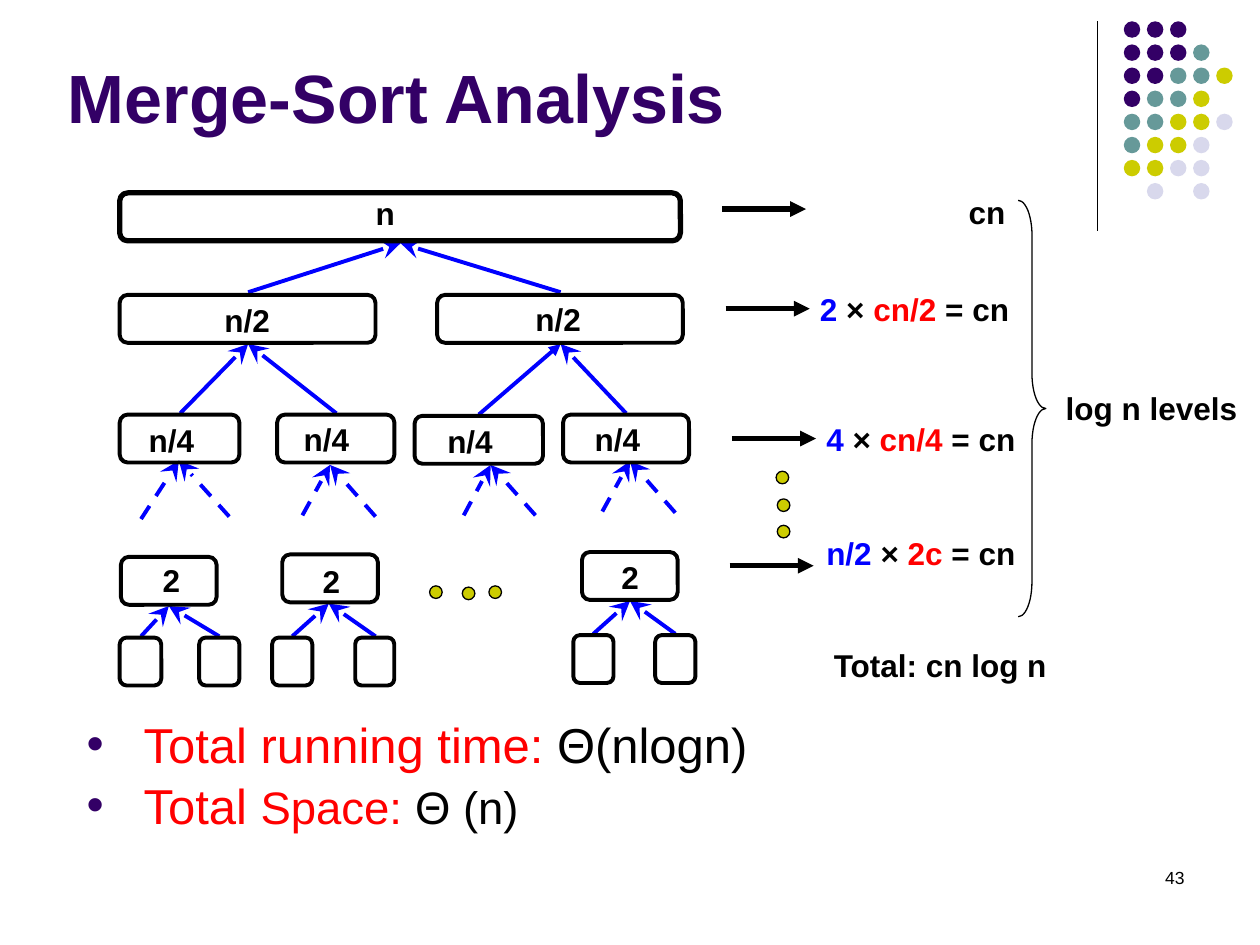
"""Build the merge-sort analysis slide with its recursion tree."""
from lxml.etree import SubElement
from pptx import Presentation
from pptx.dml.color import RGBColor
from pptx.enum.dml import MSO_LINE_DASH_STYLE as Dash
from pptx.enum.shapes import MSO_CONNECTOR as Connector, MSO_SHAPE as Shape
from pptx.enum.text import MSO_ANCHOR as Anchor, PP_ALIGN as Align
from pptx.oxml.ns import qn
from pptx.util import Pt

BLACK = RGBColor(0x00, 0x00, 0x00)
BLUE = RGBColor(0x00, 0x00, 0xFF)
RED = RGBColor(0xFF, 0x00, 0x00)
PURPLE = RGBColor(0x33, 0x00, 0x66)
TEAL = RGBColor(0x66, 0x99, 0x99)
OLIVE = RGBColor(0xCC, 0xCC, 0x00)
LILAC = RGBColor(0xD8, 0xD8, 0xEC)

DOT_COLORS = {"P": PURPLE, "T": TEAL, "O": OLIVE, "L": LILAC}
DOT_ROWS = ["PPP", "PPPT", "PPTTO", "PTTO", "TTOOL", "TOOL", "OOLL", " L L"]
DOT_LEFT, DOT_TOP, DOT_STEP, DOT_SIZE = 642.2, 12.2, 13.2, 9.4

BOX_HEIGHT = 27.4
ROOT = (68.4, 110.2, 320.4)
NODES = [
    (68.4, 168.5, 146.2), (249.8, 168.5, 140.4),
    (68.4, 236.9, 68.4), (158.4, 236.9, 67), (236.9, 237.6, 73.4), (321.8, 236.9, 72),
    (69.1, 318.2, 54.7), (161.3, 316.8, 54.7), (332.6, 315.4, 54.7),
    (68.4, 364.3, 23.8), (113.8, 364.3, 23), (155.5, 364.3, 23), (203, 364.3, 22.3),
    (327.6, 362.9, 23), (374.4, 362.9, 23),
]
NODE_LABELS = [
    ("n", 214.6, 110.9, 25.2),
    ("n/2", 128.2, 172.1, 40.3), ("n/2", 306, 171.4, 40.3),
    ("n/4", 85, 240.5, 40.3), ("n/4", 173.5, 239.8, 40.3),
    ("n/4", 255.6, 241.2, 40.3), ("n/4", 339.8, 239.8, 40.3),
    ("2", 92.9, 320.4, 10), ("2", 184.3, 321.1, 10), ("2", 355, 319, 10),
]

MERGES = [
    ((228.9, 139), [(141.8, 167), (320.4, 167)]),
    ((141.8, 196.6), [(103, 236.2), (192.2, 236.2)]),
    ((320.4, 196.6), [(357.8, 236.2)]),
    ((96.5, 346.3), [(80.6, 363.6), (125.3, 363.6)]),
    ((187.9, 344.9), [(167, 363.6), (214.6, 363.6)]),
    ((360, 343.4), [(339.1, 362.2), (385.9, 362.2)]),
]
DEEPER_MERGES = [
    ((102.2, 263.2), [(80.6, 296.6), (131, 295.2)]),
    ((188.6, 265.7), [(172.8, 294.5), (214.6, 295.2)]),
    ((280.4, 265.7), [(265, 294.5), (306, 294.5)]),
    ((360, 263.5), [(344.2, 292.3), (385.9, 293)]),
]

COST_ARROWS = [(412.6, 119.5), (414.7, 176.4), (418.3, 250.6), (416.9, 323.3)]
COST_ARROW_LENGTH = 48
COSTS = [
    (461.5, 162, "2", "cn/2"),
    (465.1, 236.2, "4", "cn/4"),
    (465.1, 301.7, "n/2", "2c"),
]
ELLIPSIS_DOTS = [
    (443.5, 269.3), (444.2, 285.1), (444.2, 300.2),
    (245.5, 334.8), (264.2, 335.5), (279.4, 334.8),
]
SUMMARY = [
    [("Total running time: ", 28, RED), ("Θ(nlogn)", 28, BLACK)],
    [("Total ", 28, RED), ("Space: ", 26, RED), ("Θ (n)", 26, BLACK)],
]


def add_runs(para, runs, bold):
    for text, size, color in runs:
        span = para.add_run()
        span.text = text
        span.font.name = "Arial"
        span.font.size = Pt(size)
        span.font.bold = bold
        span.font.color.rgb = color


def add_text(page, place, runs, bold=True, align=Align.LEFT, anchor=Anchor.TOP,
             inset=(7.2, 3.6), wrap=True):
    box = page.shapes.add_textbox(*map(Pt, place))
    frame = box.text_frame
    frame.word_wrap = wrap
    frame.vertical_anchor = anchor
    frame.margin_left = frame.margin_right = Pt(inset[0])
    frame.margin_top = frame.margin_bottom = Pt(inset[1])
    para = frame.paragraphs[0]
    para.alignment = align
    add_runs(para, runs, bold)


def add_shape(page, kind, place, fill=None, line_width=None):
    shape = page.shapes.add_shape(kind, *map(Pt, place))
    shape.shadow.inherit = False
    if fill is None:
        shape.fill.background()
    else:
        shape.fill.solid()
        shape.fill.fore_color.rgb = fill
    if line_width is None:
        shape.line.fill.background()
    else:
        shape.line.color.rgb = BLACK
        shape.line.width = Pt(line_width)
    return shape


def add_line(page, start, end, color, width, head=None, size="med", dashed=False):
    line = page.shapes.add_connector(Connector.STRAIGHT, *map(Pt, (*start, *end)))
    line.line.color.rgb = color
    line.line.width = Pt(width)
    if dashed:
        line.line.dash_style = Dash.DASH
    properties = line.element.spPr
    if head:
        SubElement(properties.find(qn("a:ln")), qn("a:tailEnd"), type=head, w=size, len=size)
    SubElement(properties, qn("a:effectLst"))


def add_summary(page):
    box = page.shapes.add_textbox(Pt(42.5), Pt(404.6), Pt(556.6), Pt(74.9))
    frame = box.text_frame
    frame.word_wrap = True
    for index, runs in enumerate(SUMMARY):
        para = frame.add_paragraph() if index else frame.paragraphs[0]
        if index:
            para.space_before = Pt(1.5)
        properties = para._p.get_or_add_pPr()
        properties.set("marL", str(Pt(32.5)))
        properties.set("indent", str(Pt(-32.5)))
        bullet_color = SubElement(properties, qn("a:buClr"))
        SubElement(bullet_color, qn("a:srgbClr"), val=str(PURPLE))
        SubElement(properties, qn("a:buFont"), typeface="Arial")
        SubElement(properties, qn("a:buChar"), char="•")
        add_runs(para, runs, False)


def main():
    deck = Presentation()
    deck.slide_width, deck.slide_height = Pt(720), Pt(540)
    page = deck.slides.add_slide(deck.slide_layouts[6])

    add_line(page, (627.1, 12.2), (627.1, 131.8), BLACK, 0.75)
    for row, colors in enumerate(DOT_ROWS):
        for column, key in enumerate(colors):
            if key in DOT_COLORS:
                place = (DOT_LEFT + column * DOT_STEP, DOT_TOP + row * DOT_STEP,
                         DOT_SIZE, DOT_SIZE)
                add_shape(page, Shape.OVAL, place, DOT_COLORS[key])
    add_text(page, (516.2, 491.8, 167.8, 36), [("43", 10, BLACK)], False, Align.RIGHT)
    add_text(page, (31.7, 25.2, 594, 59.8), [("Merge-Sort Analysis", 39, PURPLE)],
             anchor=Anchor.MIDDLE)

    for merges, dashed in ((MERGES, False), (DEEPER_MERGES, True)):
        for tip, feet in merges:
            for foot in feet:
                add_line(page, foot, tip, BLUE, 2.25, "stealth", "lg", dashed)
    add_line(page, (273.6, 236.9), (320.4, 196.6), BLUE, 2.25, "triangle")
    for node in [ROOT, *NODES]:
        add_shape(page, Shape.ROUNDED_RECTANGLE, (*node, BOX_HEIGHT),
                  line_width=3 if node == ROOT else 2.25)
    for text, left, top, width in NODE_LABELS:
        add_text(page, (left, top, width, 21.6), [(text, 18, BLACK)], inset=(0, 0))

    for left, top in COST_ARROWS:
        add_line(page, (left, top), (left + COST_ARROW_LENGTH, top), BLACK, 3, "triangle")
    add_text(page, (476.6, 106.6, 105, 28.8), [("cn", 18, BLACK)], align=Align.RIGHT)
    for left, top, count, cost in COSTS:
        runs = [(count, 18, BLUE), (" × ", 18, BLACK), (cost, 18, RED), (" = cn", 18, BLACK)]
        add_text(page, (left, top, 122.4, 28.8), runs, wrap=False)
    for left, top in ELLIPSIS_DOTS:
        add_shape(page, Shape.OVAL, (left, top, 7.2, 7.2), OLIVE, 0.75)
    brace = add_shape(page, Shape.RIGHT_BRACE, (581.8, 114.5, 15.8, 238), line_width=0.75)
    brace.adjustments[0] = 1.27
    add_text(page, (601.9, 218.9, 112.3, 28.8), [("log n levels", 18, BLACK)], wrap=False)
    add_text(page, (469.4, 365.8, 137.5, 28.8), [("Total: cn log n", 18, BLACK)], wrap=False)
    add_summary(page)
    deck.save("out.pptx")


if __name__ == "__main__":
    main()
